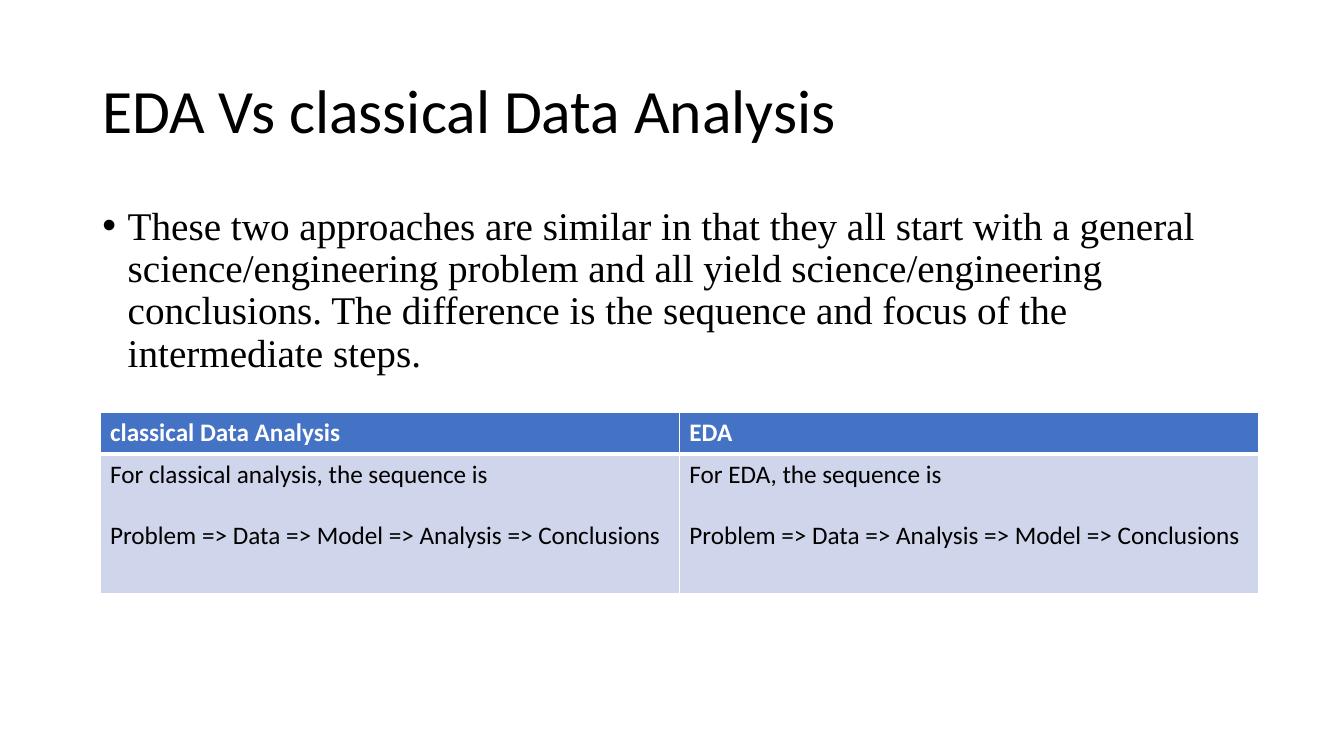
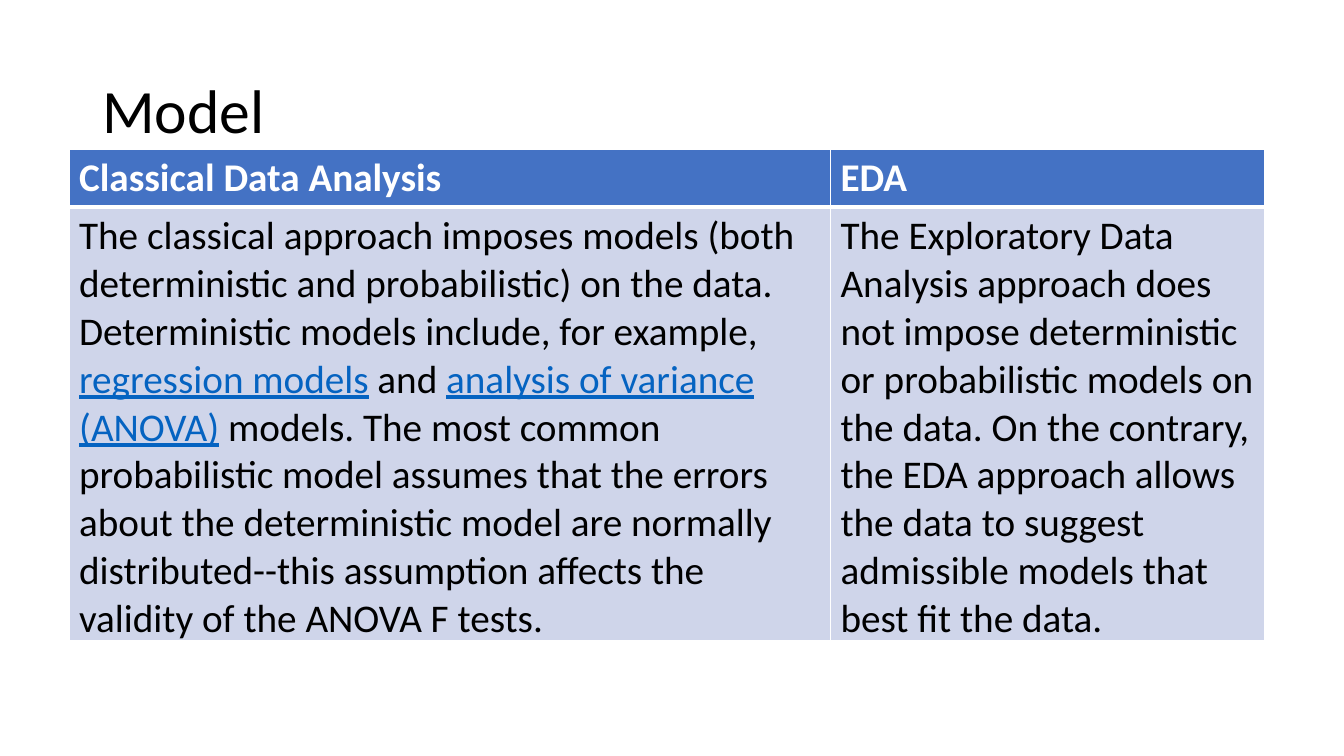
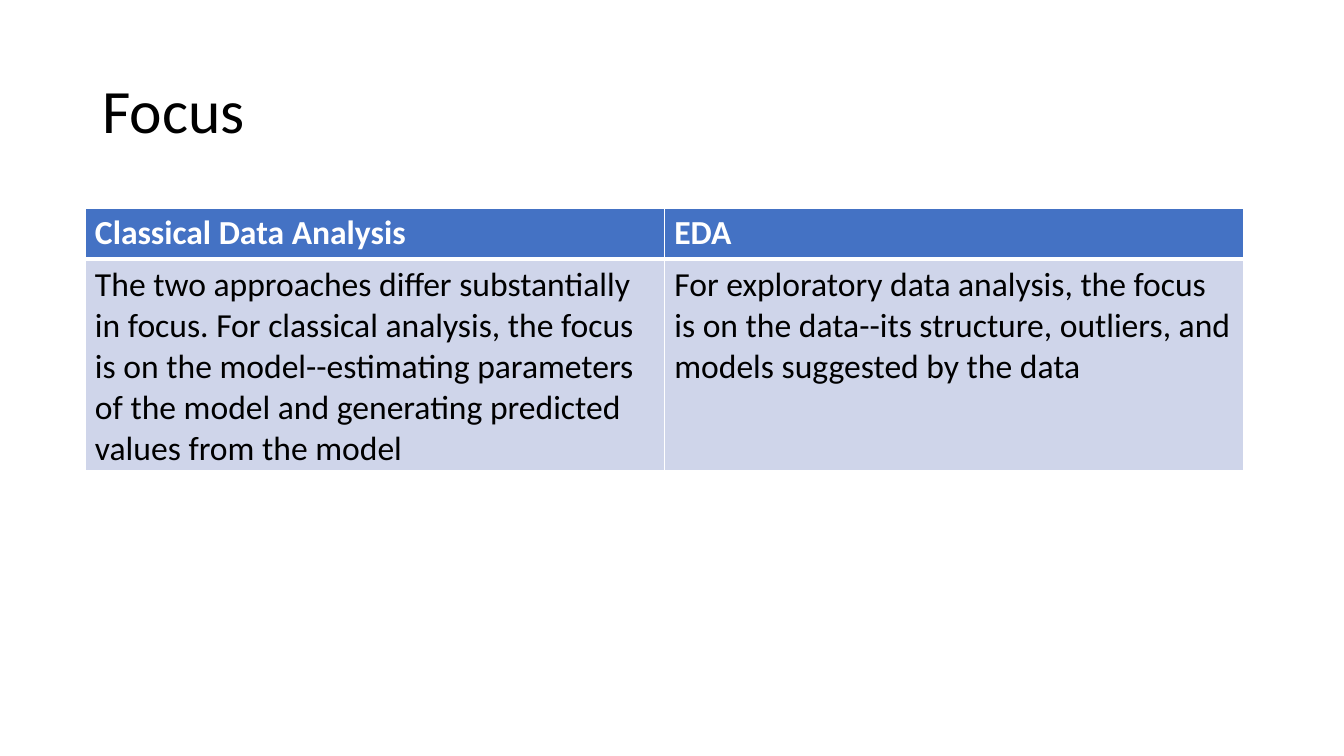
from dataclasses import dataclass

from pptx import Presentation
from pptx.dml.color import RGBColor
from pptx.enum import text
from pptx.oxml import parse_xml
from pptx.oxml.ns import nsdecls
from pptx.util import Cm, Pt


@dataclass(frozen=True)
class Theme:
    font: str = "Calibri"
    body_font: str = "Times New Roman"
    ink: str = "000000"
    white: str = "FFFFFF"
    header: str = "4472C4"
    cell: str = "CFD5EA"
    term: str = "0563C1"
    title_size: int = 44
    body_size: int = 28
    line_spacing: float = 0.9


theme = Theme()


def add_spans(para, spans, size, color, font=theme.font, bold=False):
    """Add runs to a paragraph; every second one is an underlined term."""
    for index, words in enumerate(spans):
        is_term = index % 2 == 1
        span = para.add_run()
        span.text = words
        span.font.name = font
        span.font.size = Pt(size)
        span.font.bold = bold
        span.font.underline = is_term
        span.font.color.rgb = RGBColor.from_string(theme.term if is_term else color)


def add_borders(cell, widths):
    """Give a cell white borders; widths in points: left, right, top, bottom."""
    for side, width in zip("LRTB", widths):
        cell._tc.get_or_add_tcPr().append(parse_xml(
            f'<a:ln{side} {nsdecls("a")} w="{Pt(width)}"><a:solidFill>'
            f'<a:srgbClr val="{theme.white}"/></a:solidFill></a:ln{side}>'))


# Each cell is a list of paragraphs, each paragraph a list of spans.
slides = [
    {
        "title": "EDA Vs classical Data Analysis",
        "intro": "These two approaches are similar in that they all start with a general "
                 "science/engineering problem and all yield science/engineering conclusions. "
                 "The difference is the sequence and focus of the intermediate steps.",
        "left": 2.52, "top": 10.4, "size": 18,
        "columns": [14.6, 14.6], "rows": [1.04, 3.53],
        "headers": ["classical Data Analysis", "EDA"],
        "cells": [
            [["For classical analysis, the sequence is"],
             ["Problem => Data => Model => Analysis => Conclusions"]],
            [["For EDA, the sequence is"],
             ["Problem => Data => Analysis => Model => Conclusions"]],
        ],
    },
    {
        "title": "Model",
        "left": 1.74, "top": 3.76, "size": 28,
        "columns": [19.19, 10.94], "rows": [1.46, 10.91],
        "headers": ["Classical Data Analysis", "EDA"],
        "cells": [
            [["The classical approach imposes models (both deterministic and probabilistic) "
              "on the data. Deterministic models include, for example, ",
              "regression models",
              " and ",
              "analysis of variance (ANOVA)",
              " models. The most common probabilistic model assumes that the errors about "
              "the deterministic model are normally distributed--this assumption affects "
              "the validity of the ANOVA F tests."]],
            [["The Exploratory Data Analysis approach does not impose deterministic or "
              "probabilistic models on the data. On the contrary, the EDA approach allows "
              "the data to suggest admissible models that best fit the data."]],
        ],
    },
    {
        "title": "Focus",
        "left": 2.14, "top": 5.24, "size": 24,
        "columns": [14.6, 14.6], "rows": [1.29, 5.33],
        "headers": ["Classical Data Analysis", "EDA"],
        "cells": [
            [["The two approaches differ substantially in focus. For classical analysis, "
              "the focus is on the model--estimating parameters of the model and generating "
              "predicted values from the model"]],
            [["For exploratory data analysis, the focus is on the data--its structure, "
              "outliers, and models suggested by the data"]],
        ],
    },
]

deck = Presentation()
deck.slide_width = Cm(33.87)
deck.slide_height = Cm(19.05)

for content in slides:
    page = deck.slides.add_slide(deck.slide_layouts[6])

    title_box = page.shapes.add_textbox(Cm(2.33), Cm(1.01), Cm(29.21), Cm(3.68))
    title_box.text_frame.word_wrap = True
    title_box.text_frame.vertical_anchor = text.MSO_ANCHOR.MIDDLE
    para = title_box.text_frame.paragraphs[0]
    para.line_spacing = theme.line_spacing
    add_spans(para, [content["title"]], theme.title_size, theme.ink)

    if "intro" in content:
        intro_box = page.shapes.add_textbox(Cm(2.33), Cm(5.07), Cm(29.21), Cm(5))
        intro_box.text_frame.word_wrap = True
        para = intro_box.text_frame.paragraphs[0]
        properties = para._p.get_or_add_pPr()
        properties.set("marL", str(Cm(0.64)))
        properties.set("indent", str(-Cm(0.64)))
        properties.append(parse_xml(f'<a:buFont {nsdecls("a")} typeface="Arial"/>'))
        properties.append(parse_xml(f'<a:buChar {nsdecls("a")} char="•"/>'))
        para.line_spacing = theme.line_spacing
        add_spans(para, [content["intro"]], theme.body_size, theme.ink, theme.body_font)

    columns, rows, size = content["columns"], content["rows"], content["size"]
    table = page.shapes.add_table(
        len(rows), len(columns), Cm(content["left"]), Cm(content["top"]),
        Cm(sum(columns)), Cm(sum(rows))).table
    for column, width in zip(table.columns, columns):
        column.width = Cm(width)
    for row, height in zip(table.rows, rows):
        row.height = Cm(height)

    header_cells = [[[words]] for words in content["headers"]]
    for row_index, row_cells in enumerate([header_cells, content["cells"]]):
        is_header = row_index == 0
        for column_index, paragraphs in enumerate(row_cells):
            cell = table.cell(row_index, column_index)
            add_borders(cell, (1, 1, 1, 3) if is_header else (1, 1, 3, 1))
            cell.fill.solid()
            cell.fill.fore_color.rgb = RGBColor.from_string(
                theme.header if is_header else theme.cell)
            for para_index, spans in enumerate(paragraphs):
                if para_index == 0:
                    para = cell.text_frame.paragraphs[0]
                else:
                    para = cell.text_frame.add_paragraph()
                    para.space_before = Pt(22)
                add_spans(para, spans, size, theme.white if is_header else theme.ink,
                          bold=is_header)

deck.save("out.pptx")
